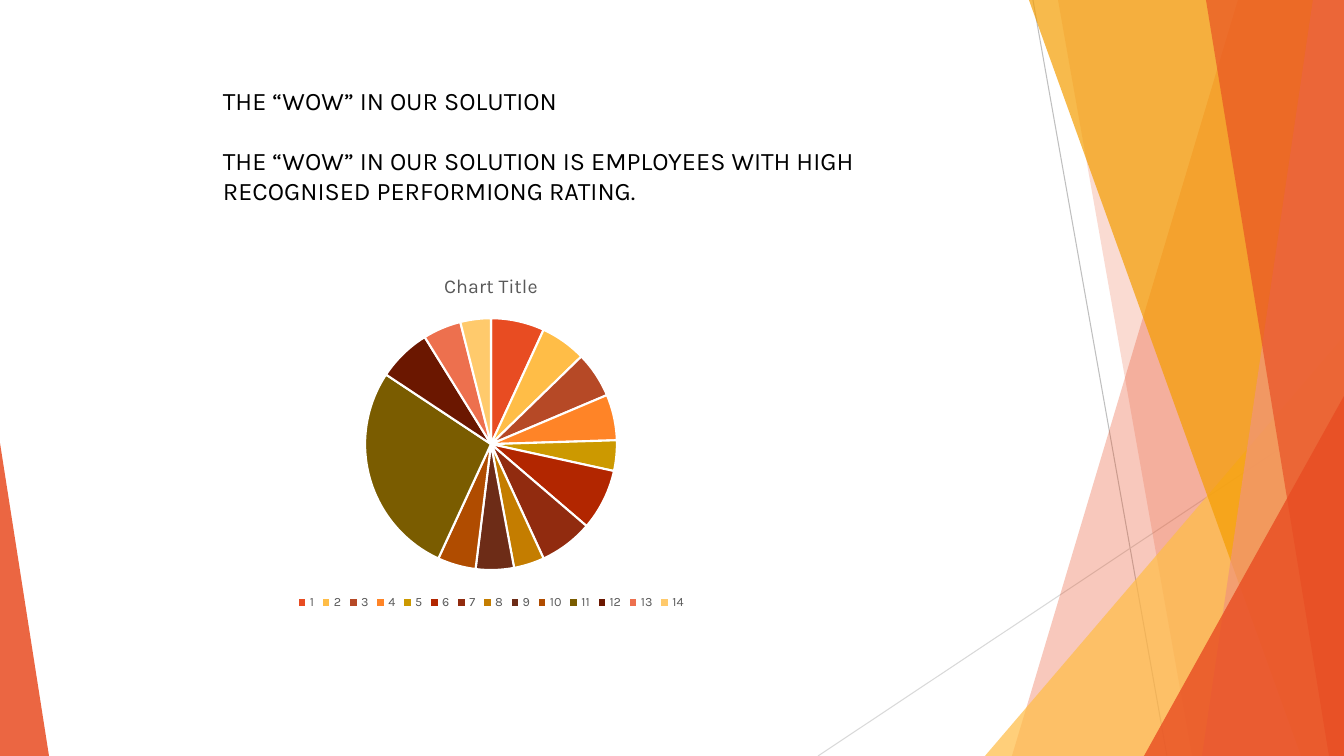
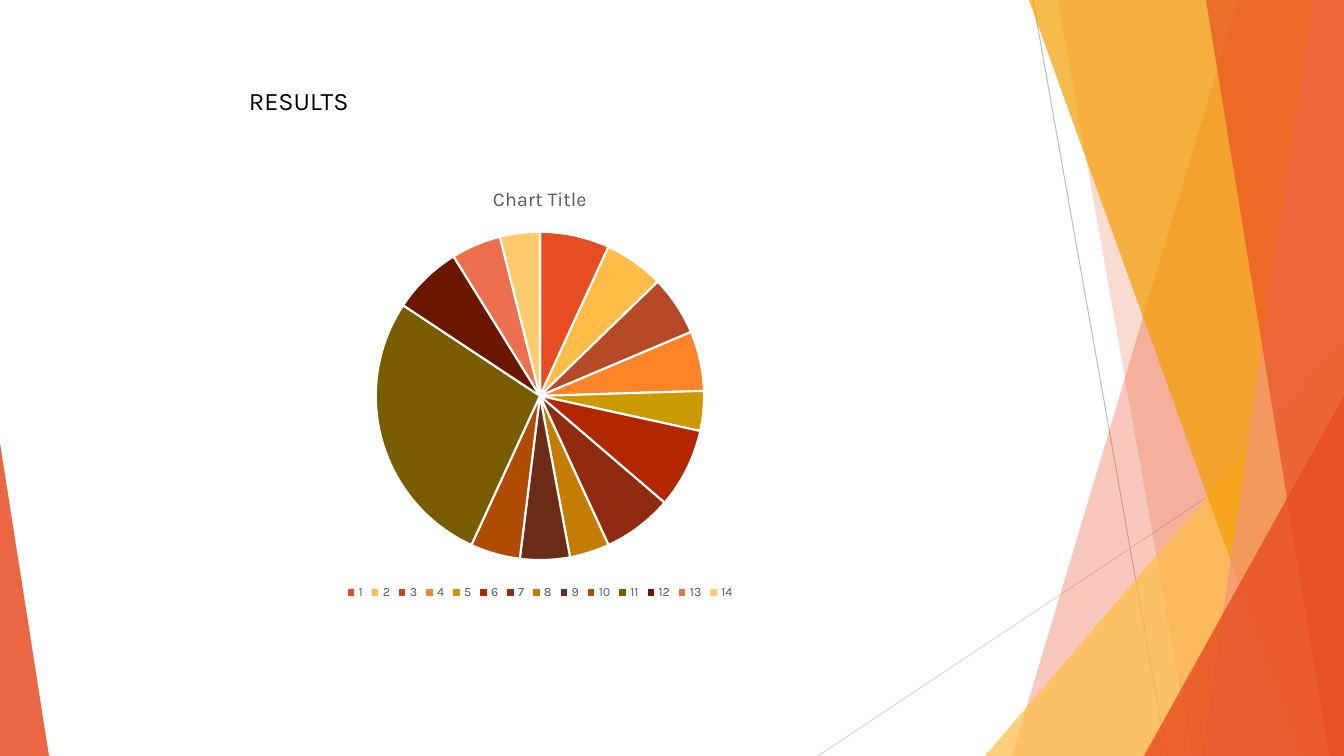
"""Builds two pie-chart slides that share a faceted orange backdrop."""
import lxml.etree
import pptx
import pptx.chart.data
import pptx.dml.color
import pptx.enum.chart
import pptx.enum.shapes
import pptx.enum.text
import pptx.oxml.ns
import pptx.util

PX = 914400 / 100.8
WIDTH, HEIGHT = 1344, 756
FONT = "Karla"
BLACK, GREY, WHITE = "000000", "595959", "FFFFFF"
ORANGE, AMBER = "E84C22", "FFBD47"

RAYS = [
    ((1033, 0), (1167, 756), "BFBFBF"),
    ((1344, 406), (818, 756), "D9D9D9"),
]
FACETS = [
    ("band", (1238, 1012), ORANGE, 30),
    ("band", (1058, 1192), ORANGE, 20),
    ("right triangle", (985, 336, 359, 420), AMBER, 72),
    ("band", (1029, 1301), "F49D00", 70),
    ("band", (1313, 1202), "F1947A", 70),
    ("band", (1206, 1329), ORANGE, 65),
    ("right triangle", (1144, 396, 200, 360), ORANGE, 80),
    ("left triangle", (0, 443, 49, 313), ORANGE, 85),
]
APEX = {"left triangle": 0, "right triangle": 1}

SLICES = [
    (7, ORANGE), (6, AMBER), (6, "B64926"), (6, "FF8427"), (4, "CC9900"),
    (8, "B22600"), (7, "912B0F"), (4, "C47D00"), (5, "6D2C17"), (5, "B04C00"),
    (28, "7A5C00"), (7, "6B1700"), (5, "ED704E"), (4, "FFCA6C"),
]
SLIDES = [
    {
        "text": [
            "THE “WOW” IN OUR SOLUTION",
            "THE “WOW” IN OUR SOLUTION IS EMPLOYEES WITH HIGH "
            "RECOGNISED PERFORMIONG RATING.",
        ],
        "text_box": (213, 80, 691, 132),
        "chart_box": (174, 257, 634, 357),
    },
    {
        "text": ["RESULTS"],
        "text_box": (239, 80, 455, 40),
        "chart_box": (209, 169, 662, 435),
    },
]


def emu(*lengths):
    return [pptx.util.Emu(round(length * PX)) for length in lengths]


def rgb(color):
    return pptx.dml.color.RGBColor.from_string(color)


def add_element(parent, tag, **attributes):
    lxml.etree.SubElement(parent, pptx.oxml.ns.qn(tag), attributes)


def style_font(font, size, color):
    font.name = FONT
    font.size = pptx.util.Pt(size)
    font.bold = False
    font.color.rgb = rgb(color)


def fill_shape(shape, color, opacity):
    shape.shadow.inherit = False
    shape.line.fill.background()
    shape.fill.solid()
    shape.fill.fore_color.rgb = rgb(color)
    color_element = shape._element.spPr.find(
        ".//" + pptx.oxml.ns.qn("a:srgbClr"))
    add_element(color_element, "a:alpha", val=str(opacity * 1000))


def add_ray(shapes, start, end, color):
    ray = shapes.add_connector(
        pptx.enum.shapes.MSO_CONNECTOR.STRAIGHT, *emu(*start, *end))
    ray.line.color.rgb = rgb(color)
    ray.line.width = pptx.util.Pt(0.75)
    add_element(ray._element.spPr, "a:effectLst")


def add_facet(shapes, kind, place, color, opacity):
    if kind == "band":
        top, bottom = place
        builder = shapes.build_freeform(top, 0, scale=PX)
        builder.add_line_segments(
            [(WIDTH, 0), (WIDTH, HEIGHT), (bottom, HEIGHT)], close=True)
        shape = builder.convert_to_shape()
    else:
        shape = shapes.add_shape(
            pptx.enum.shapes.MSO_SHAPE.ISOSCELES_TRIANGLE, *emu(*place))
        shape.adjustments[0] = APEX[kind]
    fill_shape(shape, color, opacity)


def add_backdrop(slide):
    group = slide.shapes.add_group_shape()
    for ray in RAYS:
        add_ray(group.shapes, *ray)
    for facet in FACETS:
        add_facet(group.shapes, *facet)


def add_text(slide, lines, box):
    text_frame = slide.shapes.add_textbox(*emu(*box)).text_frame
    text_frame.word_wrap = True
    text_frame.auto_size = pptx.enum.text.MSO_AUTO_SIZE.SHAPE_TO_FIT_TEXT
    text_frame.text = "\n".join(lines)
    for index, paragraph in enumerate(text_frame.paragraphs):
        paragraph.space_before = pptx.util.Pt(21.6 if index else 0)
        style_font(paragraph.runs[0].font, 18, BLACK)


def add_pie(slide, box):
    data = pptx.chart.data.CategoryChartData()
    data.categories = [str(number + 1) for number in range(len(SLICES))]
    data.add_series("Series 1", [value for value, _ in SLICES])
    chart = slide.shapes.add_chart(
        pptx.enum.chart.XL_CHART_TYPE.PIE, *emu(*box), data).chart
    style_font(chart.font, 10, BLACK)

    chart.has_title = True
    title = chart.chart_title.text_frame
    title.text = "Chart Title"
    style_font(title.paragraphs[0].runs[0].font, 14, GREY)

    chart.has_legend = True
    chart.legend.position = pptx.enum.chart.XL_LEGEND_POSITION.BOTTOM
    chart.legend.include_in_layout = False
    style_font(chart.legend.font, 9, GREY)

    plot = chart.plots[0]
    plot.vary_by_categories = True
    for index, (_, color) in enumerate(SLICES):
        piece = plot.series[0].points[index].format
        piece.fill.solid()
        piece.fill.fore_color.rgb = rgb(color)
        piece.line.color.rgb = rgb(WHITE)
        piece.line.width = pptx.util.Pt(1.5)


def main():
    presentation = pptx.Presentation()
    presentation.slide_width, presentation.slide_height = emu(WIDTH, HEIGHT)
    for content in SLIDES:
        slide = presentation.slides.add_slide(presentation.slide_layouts[6])
        add_backdrop(slide)
        add_text(slide, content["text"], content["text_box"])
        add_pie(slide, content["chart_box"])
    presentation.save("out.pptx")


if __name__ == "__main__":
    main()
